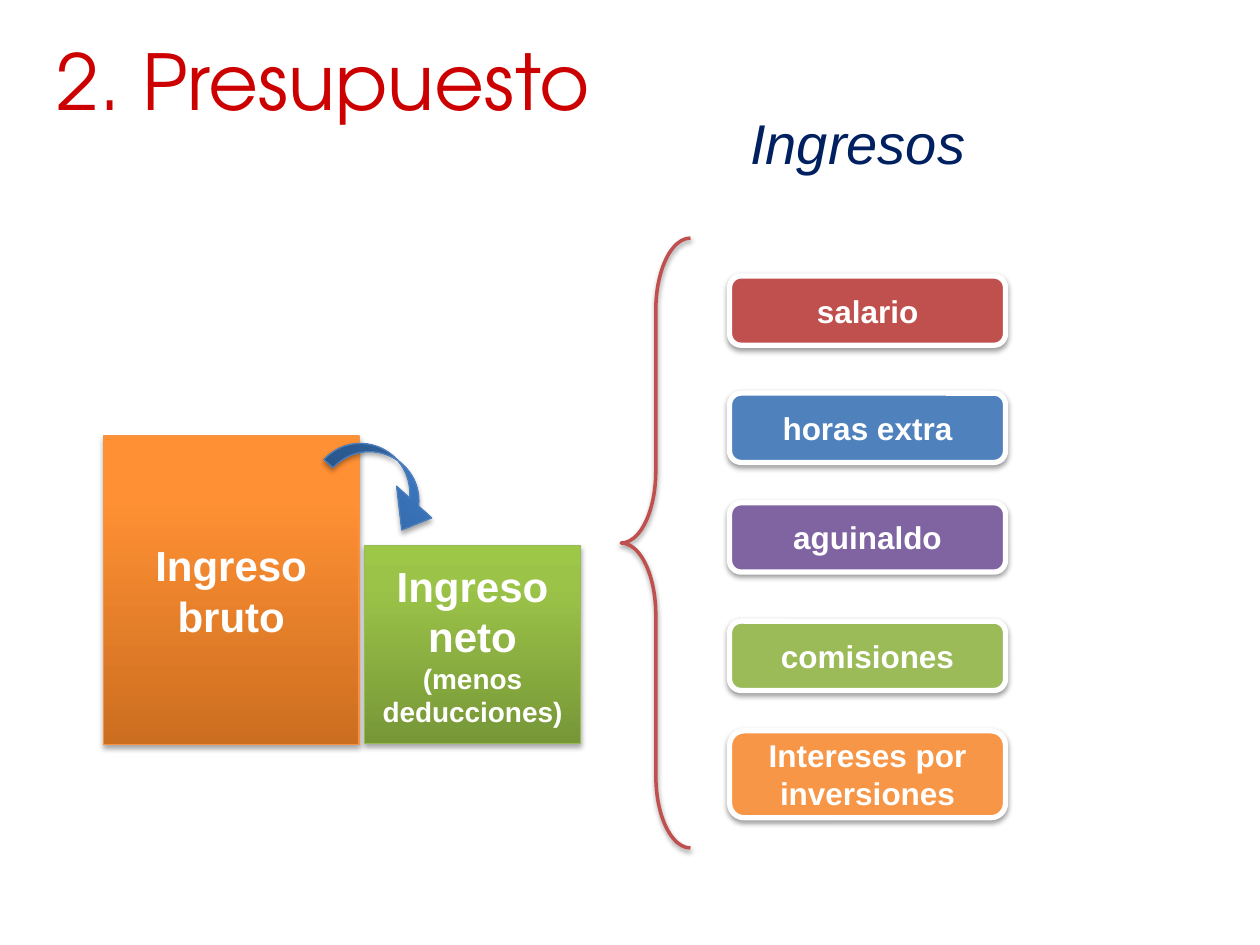
"""Build the budget slide: gross and net income beside a braced list of income types."""
from copy import deepcopy

from lxml import etree
from pptx import Presentation
from pptx.dml.color import RGBColor
from pptx.enum.shapes import MSO_SHAPE
from pptx.enum.text import MSO_ANCHOR, PP_ALIGN
from pptx.oxml import parse_xml
from pptx.oxml.ns import qn
from pptx.util import Inches, Pt

RECT, ROUND = MSO_SHAPE.RECTANGLE, MSO_SHAPE.ROUNDED_RECTANGLE
BRACE, ARROW = MSO_SHAPE.LEFT_BRACE, MSO_SHAPE.CURVED_DOWN_ARROW
MIDDLE = MSO_ANCHOR.MIDDLE
LEFT, CENTER, RIGHT = PP_ALIGN.LEFT, PP_ALIGN.CENTER, PP_ALIGN.RIGHT
NS = "http://schemas.openxmlformats.org/drawingml/2006/main"
rgb = RGBColor.from_string


def draw(kind, box, fills, edge, width, alpha, dist):
    """Add a shape with a plain, graded or empty fill and a soft shadow."""
    shape = slide.shapes.add_shape(kind, *map(Inches, box))
    fill = shape.fill
    if len(fills) == 3:
        fill.gradient()
        fill.gradient_angle = 90
        stops = shape.element.spPr.find(".//" + qn("a:gsLst"))
        stops.append(deepcopy(stops[-1]))
        for stop, color, pos in zip(fill.gradient_stops, fills, (0, 0.8, 1)):
            stop.color.rgb = rgb(color)
            stop.position = pos
    elif fills:
        fill.solid()
        fill.fore_color.rgb = rgb(fills[0])
    else:
        fill.background()
    shape.line.color.rgb = rgb(edge)
    shape.line.width = Pt(width)
    shape.shadow.inherit = False
    glow = parse_xml(
        f'<a:outerShdw xmlns:a="{NS}" blurRad="{Pt(3.1)}" dist="{Pt(dist)}" '
        'dir="5400000" rotWithShape="0"><a:srgbClr val="000000"/></a:outerShdw>'
    )
    etree.SubElement(glow[0], qn("a:alpha"), val=str(alpha * 1000))
    shape.element.spPr.find(qn("a:effectLst")).append(glow)
    return shape


def write(shape, lines, align, color="FFFFFF", face="Arial", bold=False, italic=False):
    """Write one paragraph for each pair of text and size."""
    frame = shape.text_frame
    frame.word_wrap = True
    frame.vertical_anchor = MIDDLE
    for i, (text, size) in enumerate(lines):
        para = frame.add_paragraph() if i else frame.paragraphs[0]
        para.alignment = align
        run = para.add_run()
        run.text = text
        font = run.font
        font.name, font.size = face, Pt(size)
        font.bold, font.italic = bold, italic
        font.color.rgb = rgb(color)


prs = Presentation()
prs.slide_width, prs.slide_height = Inches(10), Inches(7.5)
slide = prs.slides.add_slide(prs.slide_layouts[5])

title = slide.shapes.title
title.left, title.top, title.width, title.height = map(Inches, (0.35, 0.21, 9, 0.85))
write(title, [("2. Presupuesto", 44)], LEFT, "CC0000", "TeX Gyre Adventor")

head = slide.shapes.add_textbox(*map(Inches, (3.46, 0.84, 4.3, 0.58)))
write(head, [("Ingresos", 32)], RIGHT, "002060", italic=True)

blocks = [
    ((0.82, 3.46, 2.03, 2.45), ("CC6E20", "FF9034", "FF9136"), "F69240",
     [("Ingreso", 24), ("bruto", 24)]),
    ((2.89, 4.33, 1.72, 1.57), ("779737", "9BC348", "9DC746"), "98B955",
     [("Ingreso neto", 24), ("(menos deducciones)", 16)]),
]
for box, fills, edge, lines in blocks:
    write(draw(RECT, box, fills, edge, 0.75, 35, 1.8), lines, CENTER, bold=True)

items = [
    ("salario", 2.19, 0.55, "C0504D"),
    ("horas extra", 3.12, 0.55, "4F81BD"),
    ("aguinaldo", 3.99, 0.55, "8064A2"),
    ("comisiones", 4.93, 0.55, "9BBB59"),
    ("Intereses por inversiones", 5.8, 0.69, "F79646"),
]
for text, top, high, color in items:
    pill = draw(ROUND, (5.79, top, 2.19, high), [color], "FFFFFF", 3, 38, 1.6)
    write(pill, [(text, 18)], CENTER, bold=True)

brace = draw(BRACE, (4.93, 1.89, 0.55, 4.84), [], "C0504D", 2, 38, 1.6)
brace.adjustments[0] = 1.04

arrow = draw(ARROW, (2.57, 3.65, 1.02, 0.39), ("2F5F99", "3D7CC7", "3A7CCB"),
             "4B7EBC", 0.75, 35, 1.8)
arrow.rotation = 42.1
for i, value in enumerate((0.25, 0.96, 0.59)):
    arrow.adjustments[i] = value

prs.save("out.pptx")
